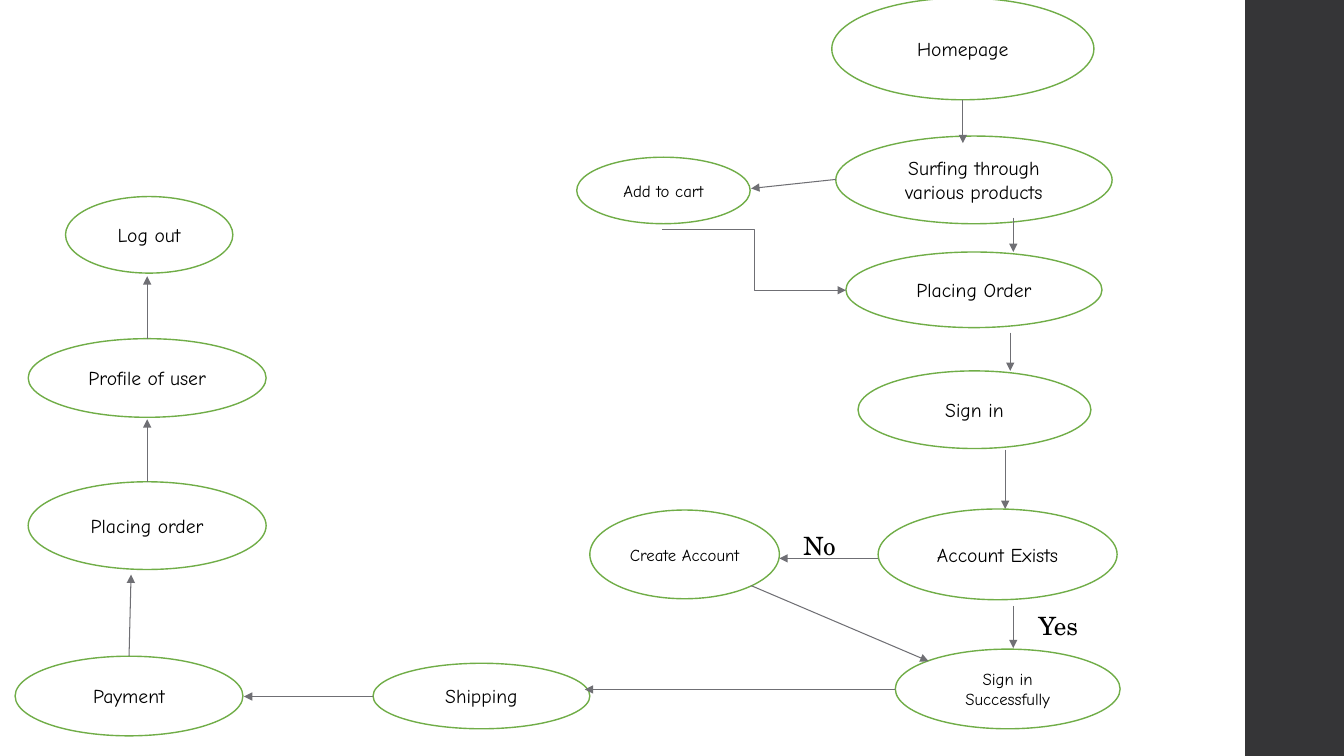
from lxml import etree
from pptx import Presentation
from pptx.dml.color import RGBColor
from pptx.enum.shapes import MSO_CONNECTOR, MSO_SHAPE
from pptx.enum.text import MSO_ANCHOR, MSO_AUTO_SIZE, PP_ALIGN
from pptx.oxml.ns import qn
from pptx.util import Inches, Pt

ELLIPSE, RECTANGLE = MSO_SHAPE.OVAL, MSO_SHAPE.RECTANGLE
STRAIGHT, ELBOW = MSO_CONNECTOR.STRAIGHT, MSO_CONNECTOR.ELBOW
LEFT, CENTER = PP_ALIGN.LEFT, PP_ALIGN.CENTER
COLUMNS, ROWS = 13.33, 7.5
SIDEBAR_COLUMN = 12.35
WHITE, BLACK, GREEN, GRAY, DARK = "FFFFFF", "000000", "70AD47", "6F6F74", "353537"


def color(hex_string):
    return RGBColor.from_string(hex_string)


def write(shape, text, size=14, font="Comic Neue", align=CENTER, anchor=MSO_ANCHOR.MIDDLE):
    frame = shape.text_frame
    frame.word_wrap = True
    frame.vertical_anchor = anchor
    paragraph = frame.paragraphs[0]
    paragraph.alignment = align
    run = paragraph.add_run()
    run.text = text
    run.font.size = Pt(size)
    run.font.name = font
    run.font.color.rgb = color(BLACK)


presentation = Presentation()
presentation.slide_width = Inches(COLUMNS)
presentation.slide_height = Inches(ROWS)
column = presentation.slide_width / COLUMNS
row = presentation.slide_height / ROWS
slide = presentation.slides.add_slide(presentation.slide_layouts[6])

sidebar = slide.shapes.add_shape(
    RECTANGLE, int(SIDEBAR_COLUMN * column), 0,
    int((COLUMNS - SIDEBAR_COLUMN) * column), presentation.slide_height)
sidebar.shadow.inherit = False
sidebar.fill.solid()
sidebar.fill.fore_color.rgb = color(DARK)
sidebar.line.fill.background()

# Steps: text, left column, top row, columns wide, rows high, text size
steps = [
    ("Homepage", 8.25, -0.02, 2.6, 1.01, 14),
    ("Surfing through various products", 8.29, 1.35, 2.74, 0.87, 14),
    ("Add to cart", 5.72, 1.56, 1.72, 0.66, 12),
    ("Placing Order", 8.39, 2.5, 2.54, 0.75, 14),
    ("Sign in", 8.51, 3.68, 2.31, 0.77, 14),
    ("Account Exists", 8.71, 5.05, 2.37, 0.9, 14),
    ("Create Account", 5.85, 5.06, 1.88, 0.88, 12),
    ("Sign in Successfully", 8.88, 6.44, 2.23, 0.79, 12),
    ("Shipping", 3.7, 6.58, 2.15, 0.65, 14),
    ("Payment", 0.15, 6.51, 2.26, 0.79, 14),
    ("Placing order", 0.28, 4.78, 2.36, 0.87, 14),
    ("Profile of user", 0.28, 3.36, 2.36, 0.78, 14),
    ("Log out", 0.65, 1.95, 1.66, 0.76, 14),
]
for text, left, top, width, height, size in steps:
    step = slide.shapes.add_shape(
        ELLIPSE, int(left * column), int(top * row), int(width * column), int(height * row))
    step.shadow.inherit = False
    step.fill.solid()
    step.fill.fore_color.rgb = color(WHITE)
    step.line.color.rgb = color(GREEN)
    step.line.width = Pt(1)
    write(step, text, size=size)

# Arrows: kind, start column and row, end column and row
arrows = [
    (STRAIGHT, 9.55, 0.99, 9.55, 1.42),
    (STRAIGHT, 8.29, 1.78, 7.45, 1.87),
    (ELBOW, 6.57, 2.28, 8.39, 2.88),
    (STRAIGHT, 10.05, 2.16, 10.05, 2.5),
    (STRAIGHT, 10.02, 3.3, 10.02, 3.68),
    (STRAIGHT, 9.97, 4.46, 9.97, 5.05),
    (STRAIGHT, 8.71, 5.54, 7.73, 5.54),
    (STRAIGHT, 7.45, 5.81, 9.21, 6.56),
    (STRAIGHT, 10.05, 6.01, 10.05, 6.43),
    (STRAIGHT, 8.88, 6.84, 5.8, 6.84),
    (STRAIGHT, 3.7, 6.91, 2.42, 6.91),
    (STRAIGHT, 1.28, 6.51, 1.3, 5.7),
    (STRAIGHT, 1.46, 4.78, 1.46, 4.16),
    (STRAIGHT, 1.46, 3.36, 1.46, 2.74),
]
for kind, start_column, start_row, end_column, end_row in arrows:
    arrow = slide.shapes.add_connector(
        kind, int(start_column * column), int(start_row * row),
        int(end_column * column), int(end_row * row))
    arrow.line.color.rgb = color(GRAY)
    arrow.line.width = Pt(0.75)
    properties = arrow.element.spPr
    etree.SubElement(properties.find(qn("a:ln")), qn("a:tailEnd"), type="triangle")
    etree.SubElement(properties, qn("a:effectLst"))

for text, left, top, width in [("No", 7.87, 5.21, 0.73), ("Yes", 10.2, 6.01, 0.91)]:
    answer = slide.shapes.add_textbox(
        int(left * column), int(top * row), int(width * column), int(0.4 * row))
    answer.text_frame.auto_size = MSO_AUTO_SIZE.SHAPE_TO_FIT_TEXT
    write(answer, text, size=18, font="TeX Gyre Schola", align=LEFT, anchor=MSO_ANCHOR.TOP)

presentation.save("out.pptx")
